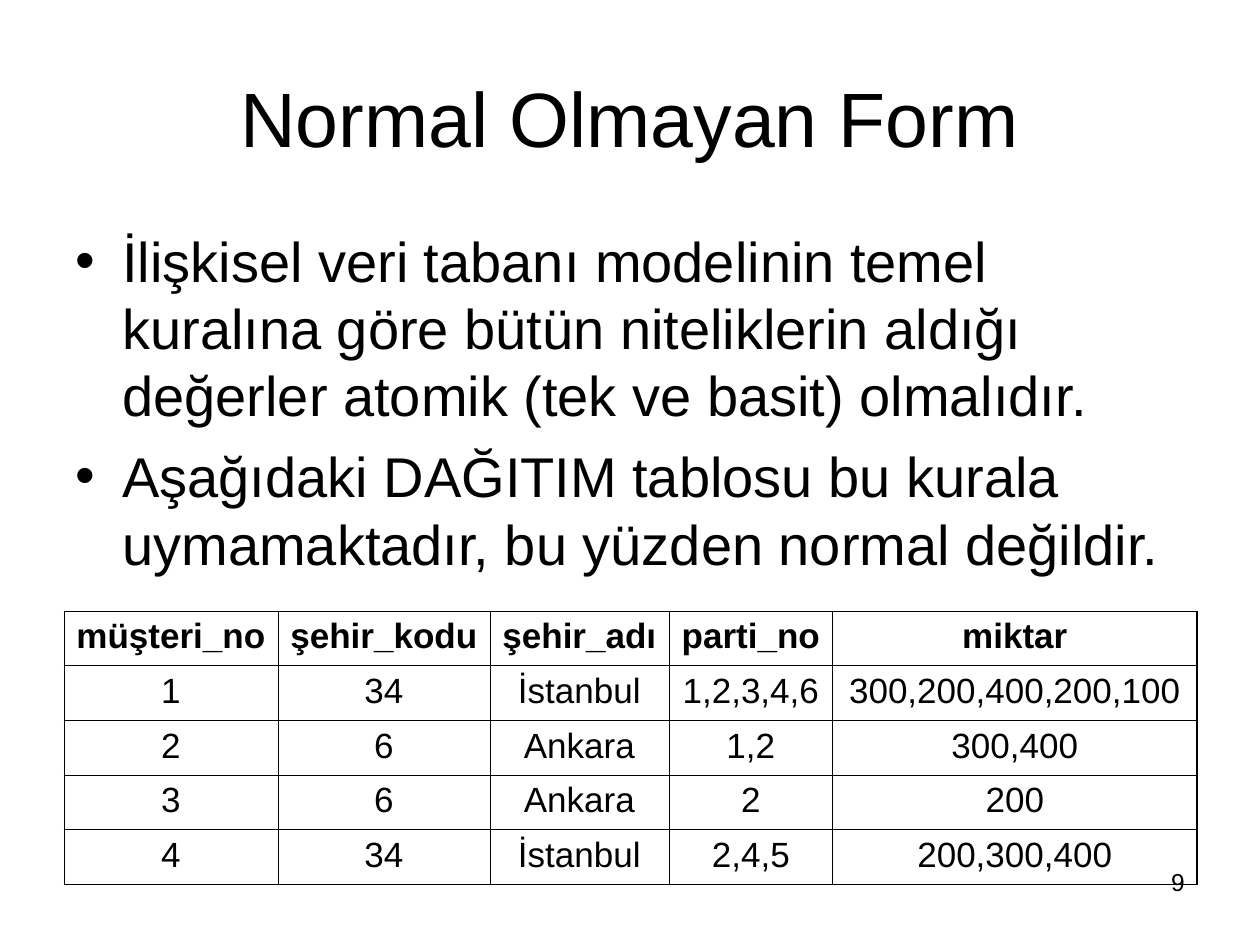
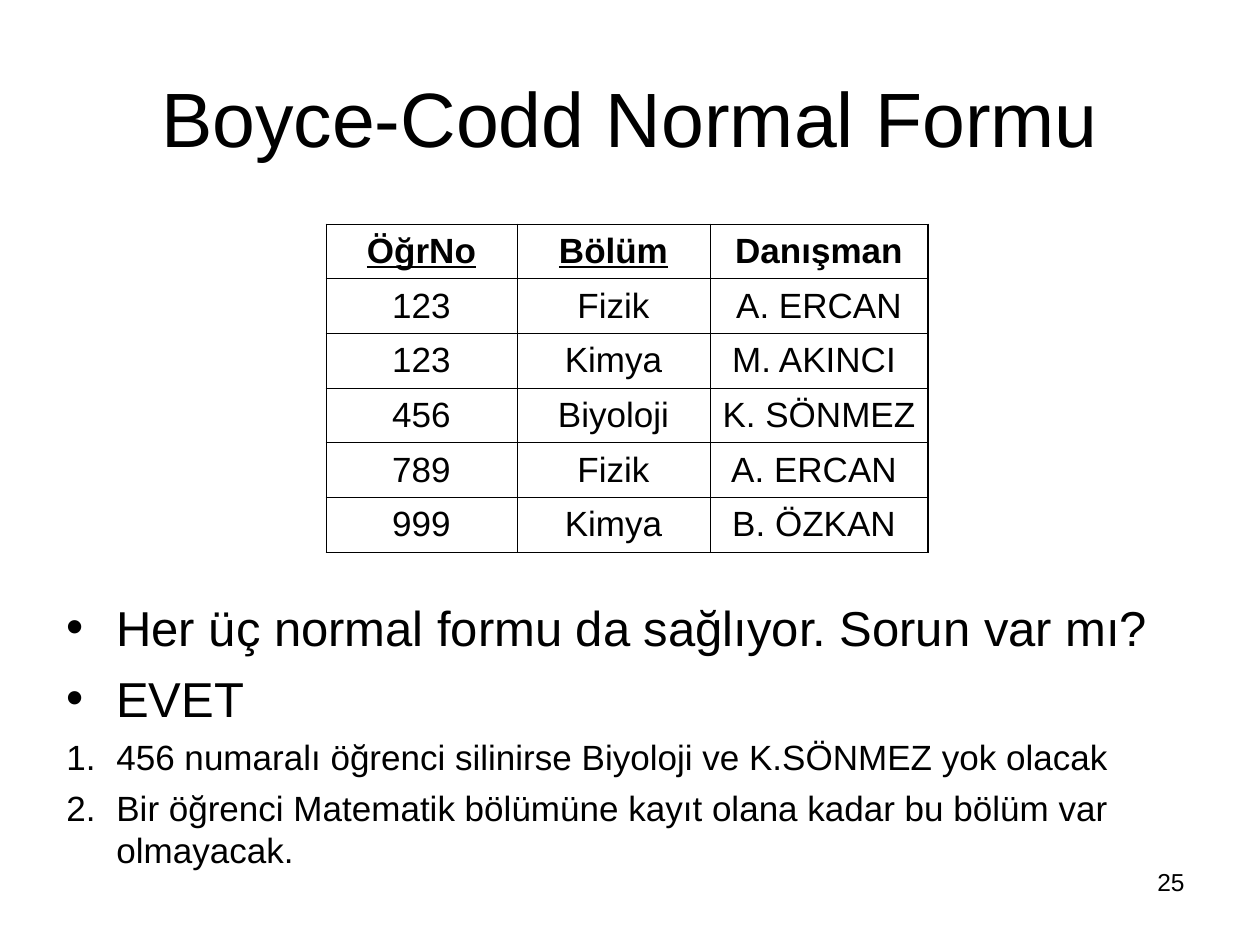
from lxml import etree
from pptx import Presentation
from pptx.dml.color import RGBColor
from pptx.enum.text import MSO_ANCHOR, MSO_AUTO_SIZE, PP_ALIGN
from pptx.oxml.ns import qn
from pptx.util import Pt

LEFT, CENTER, RIGHT = PP_ALIGN.LEFT, PP_ALIGN.CENTER, PP_ALIGN.RIGHT
TOP, MIDDLE = MSO_ANCHOR.TOP, MSO_ANCHOR.MIDDLE
BLACK = RGBColor(0x00, 0x00, 0x00)
FONT = "Arial"
EMU_PER_PX = 914400 // 126
SLIDE_SIZE = (1260, 945)
TITLE_BOX = (63, 38, 1134, 158)
NUMBER_BOX = (903, 861, 294, 66)
CELL_MARGIN = 8
RIGHT_BORDER, THIN_BORDER = Pt(1.08), Pt(0.45)
BULLET, NUMBERED = "buChar", "buAutoNum"
MARKERS = {BULLET: {"char": "•"}, NUMBERED: {"type": "arabicPeriod"}}

# Each list item: text, marker, size, space before
SLIDES = [
    {
        "title": "Normal Olmayan Form",
        "number": "9",
        "list_box": (63, 220, 1134, 401),
        "list_indent": 47,
        "items": [
            ("İlişkisel veri tabanı modelinin temel kuralına göre bütün niteliklerin "
             "aldığı değerler atomik (tek ve basit) olmalıdır.", BULLET, 32, 8),
            ("Aşağıdaki DAĞITIM tablosu bu kurala uymamaktadır, bu yüzden normal "
             "değildir.", BULLET, 32, 8),
        ],
        "table": {
            "at": (64, 611),
            "height": 273,
            "columns": [214, 212, 179, 164, 364],
            "keys": [],
            "anchor": TOP,
            "before": 5,
            "rows": [
                ["müşteri_no", "şehir_kodu", "şehir_adı", "parti_no", "miktar"],
                ["1", "34", "İstanbul", "1,2,3,4,6", "300,200,400,200,100"],
                ["2", "6", "Ankara", "1,2", "300,400"],
                ["3", "6", "Ankara", "2", "200"],
                ["4", "34", "İstanbul", "2,4,5", "200,300,400"],
            ],
        },
    },
    {
        "title": "Boyce-Codd Normal Formu",
        "number": "25",
        "list_box": (54, 591, 1150, 277),
        "list_indent": 50,
        "items": [
            ("Her üç normal formu da sağlıyor. Sorun var mı?", BULLET, 28, 7),
            ("EVET", BULLET, 28, 7),
            ("456 numaralı öğrenci silinirse Biyoloji ve K.SÖNMEZ yok olacak",
             NUMBERED, 20, 5),
            ("Bir öğrenci Matematik bölümüne kayıt olana kadar bu bölüm var "
             "olmayacak.", NUMBERED, 20, 5),
        ],
        "table": {
            "at": (326, 224),
            "height": 328,
            "columns": [191, 193, 218],
            "keys": ["ÖğrNo", "Bölüm"],
            "anchor": MIDDLE,
            "before": 0,
            "rows": [
                ["ÖğrNo", "Bölüm", "Danışman"],
                ["123", "Fizik", "A. ERCAN"],
                ["123", "Kimya", "M. AKINCI "],
                ["456", "Biyoloji", "K. SÖNMEZ"],
                ["789", "Fizik", "A. ERCAN "],
                ["999", "Kimya", "B. ÖZKAN "],
            ],
        },
    },
]


def px(*lengths):
    return [length * EMU_PER_PX for length in lengths]


def write(paragraph, text, size, align=LEFT, bold=False, underline=False, before=0):
    paragraph.alignment = align
    paragraph.space_before = Pt(before)
    run = paragraph.add_run()
    run.text = text
    font = run.font
    font.name, font.size, font.bold, font.underline = FONT, Pt(size), bold, underline
    font.color.rgb = BLACK


def mark(paragraph, marker, indent):
    """Give a paragraph a hanging indent and a bullet or number."""
    properties = paragraph._p.get_or_add_pPr()
    properties.set("marL", str(indent))
    properties.set("indent", str(-indent))
    etree.SubElement(properties, qn("a:buFont"), typeface=FONT)
    etree.SubElement(properties, qn("a:" + marker), MARKERS[marker])


def add_border(cell, side, width):
    properties = cell._tc.get_or_add_tcPr()
    line = etree.SubElement(properties, qn("a:ln" + side), w=str(int(width)))
    fill = etree.SubElement(line, qn("a:solidFill"))
    etree.SubElement(fill, qn("a:srgbClr"), val=str(BLACK))


def add_text_box(slide, box):
    frame = slide.shapes.add_textbox(*px(*box)).text_frame
    frame.word_wrap = True
    return frame


def add_title(slide, text):
    title = slide.shapes.title
    title.left, title.top, title.width, title.height = px(*TITLE_BOX)
    frame = title.text_frame
    frame.auto_size = MSO_AUTO_SIZE.NONE
    frame.vertical_anchor = MIDDLE
    write(frame.paragraphs[0], text, 44, align=CENTER)


def add_list(slide, box, indent, items):
    frame = add_text_box(slide, box)
    for index, (text, marker, size, before) in enumerate(items):
        paragraph = frame.add_paragraph() if index else frame.paragraphs[0]
        write(paragraph, text, size, before=before)
        mark(paragraph, marker, *px(indent))


def add_grid(slide, content):
    rows, columns = content["rows"], content["columns"]
    box = px(*content["at"], sum(columns), content["height"])
    table = slide.shapes.add_table(len(rows), len(columns), *box).table
    table.first_row = table.horz_banding = False
    for column, width in zip(table.columns, px(*columns)):
        column.width = width
    last_column = len(columns) - 1
    for r, row in enumerate(rows):
        for c, text in enumerate(row):
            cell = table.cell(r, c)
            cell.vertical_anchor = content["anchor"]
            cell.margin_left, cell.margin_right = px(CELL_MARGIN, CELL_MARGIN)
            write(cell.text_frame.paragraphs[0], text, 20, align=CENTER, bold=r == 0,
                  underline=text in content["keys"], before=content["before"])
            for side in "LRTB":
                is_right_edge = side == "R" and c == last_column
                add_border(cell, side, RIGHT_BORDER if is_right_edge else THIN_BORDER)
            cell.fill.background()


def main():
    presentation = Presentation()
    presentation.slide_width, presentation.slide_height = px(*SLIDE_SIZE)
    title_only = presentation.slide_layouts[5]
    for content in SLIDES:
        slide = presentation.slides.add_slide(title_only)
        add_title(slide, content["title"])
        add_list(slide, content["list_box"], content["list_indent"], content["items"])
        add_grid(slide, content["table"])
        number = add_text_box(slide, NUMBER_BOX).paragraphs[0]
        write(number, content["number"], 14, align=RIGHT)
    presentation.save("out.pptx")


if __name__ == "__main__":
    main()
